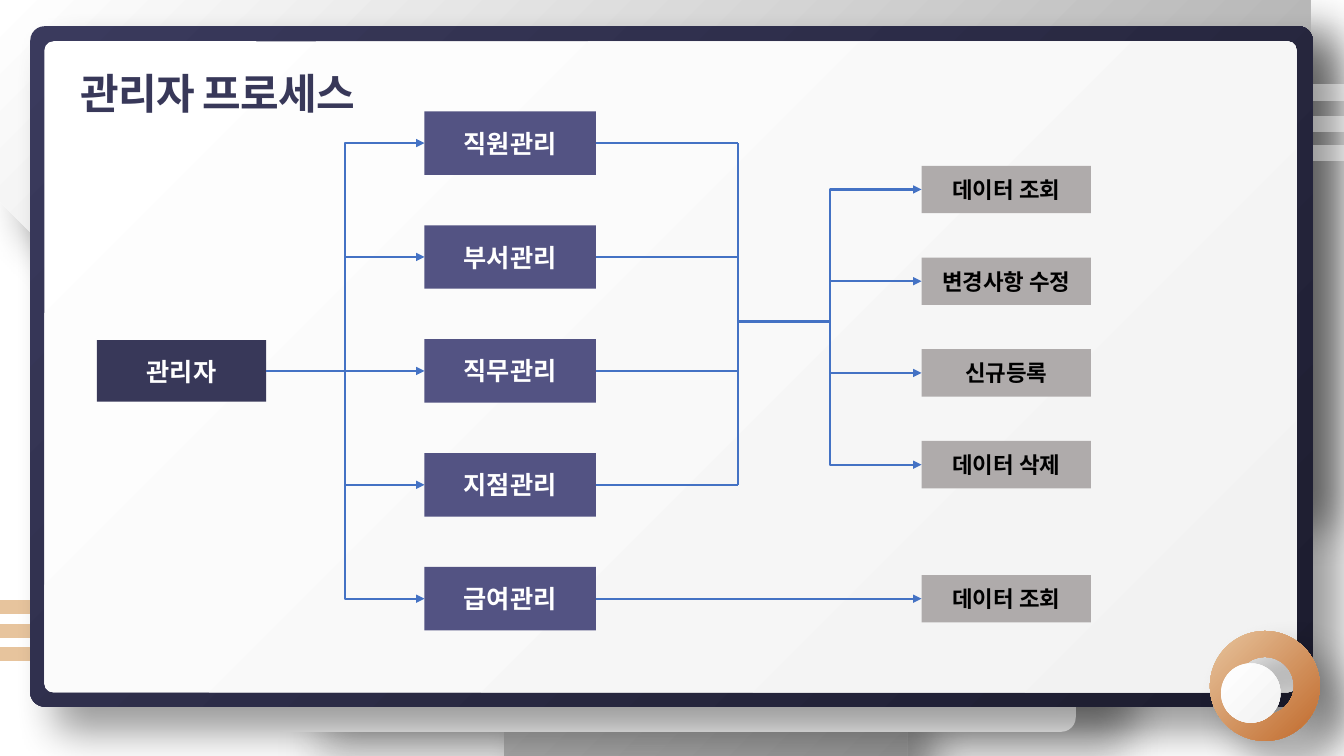
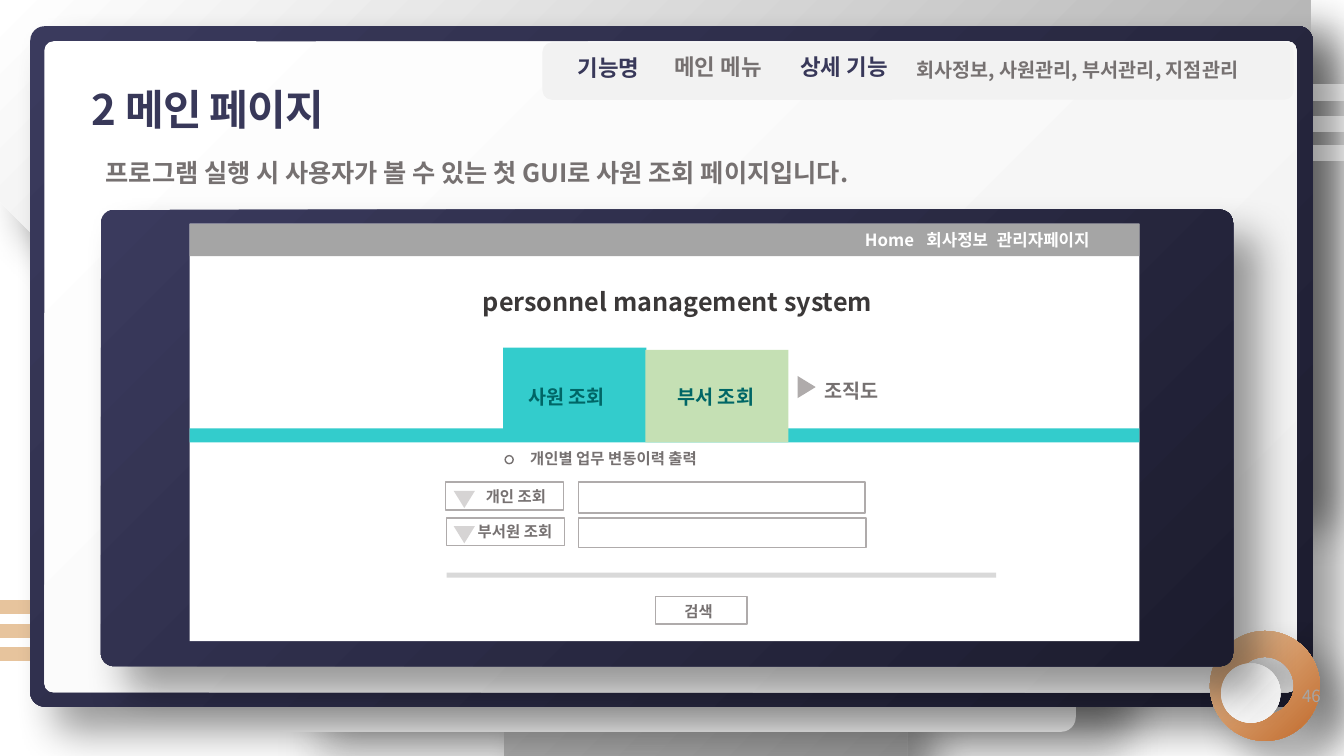
"""Build the manager process slide and the main page mock-up slide."""
from copy import deepcopy
from dataclasses import dataclass

from lxml import etree
from pptx import Presentation
from pptx import util as u
from pptx.dml.color import RGBColor
from pptx.enum import shapes, text
from pptx.oxml.ns import qn


@dataclass(frozen=True)
class Theme:
    font: str = "Noto Sans CJK KR"
    navy: str = "383859"
    violet: str = "535383"
    white: str = "FFFFFF"
    black: str = "000000"
    silver: str = "AFABAB"
    grey: str = "767171"
    charcoal: str = "3B3838"
    pale: str = "F2F2F2"
    rule: str = "D9D9D9"
    bar: str = "A5A5A5"
    sand: str = "E7C49D"
    blue: str = "4472C4"
    teal: str = "33CCCC"
    deep_teal: str = "006666"
    green: str = "C5E0B4"
    navy_fade: tuple = ("3A3A5D", "1C1C2E")
    white_fade: tuple = ("FFFFFF", "F2F2F2")
    grey_fade: tuple = ("FFFFFF", "8C8C8C")
    copper_fade: tuple = ("E7C49D", "C16A2C")
    deep_shadow: tuple = (40, 26)
    soft_shadow: tuple = (12, 46)
    title: int = 30
    large: int = 18
    medium: int = 16
    body: int = 14
    small: int = 12
    tiny: int = 11


theme = Theme()
KIND = shapes.MSO_SHAPE
CENTER, LEFT = text.PP_ALIGN.CENTER, text.PP_ALIGN.LEFT


def style(shape, fill=None, line=None, shadow=None, label=None, size=None, color=None,
          align=LEFT, tabs=()):
    """Apply fill, line, shadow and text to a shape and return it."""
    shape.shadow.inherit = False
    if isinstance(fill, tuple):
        shape.fill.gradient()
        shape.fill.gradient_angle = 315
        for stop, tone in zip(shape.fill.gradient_stops, fill):
            stop.color.rgb = RGBColor.from_string(tone)
    elif fill:
        shape.fill.solid()
        shape.fill.fore_color.rgb = RGBColor.from_string(fill)
    else:
        shape.fill.background()
    if line:
        shape.line.color.rgb = RGBColor.from_string(line)
        shape.line.width = u.Pt(1)
    else:
        shape.line.fill.background()
    if shadow:
        alpha, distance = shadow
        outer = etree.SubElement(
            shape.element.spPr.find(qn("a:effectLst")), qn("a:outerShdw"),
            blurRad=str(u.Pt(30)), dist=str(u.Pt(distance)), dir="2700000",
            algn="tl", rotWithShape="0")
        tone = etree.SubElement(outer, qn("a:srgbClr"), val=theme.black)
        etree.SubElement(tone, qn("a:alpha"), val=str(alpha * 1000))
    if label:
        shape.text_frame.word_wrap = True
        shape.text_frame.text = label
        paragraph = shape.text_frame.paragraphs[0]
        paragraph.alignment = align
        if tabs:
            stops = etree.SubElement(paragraph._p.get_or_add_pPr(), qn("a:tabLst"))
            for tab in tabs:
                etree.SubElement(stops, qn("a:tab"), pos=str(u.Inches(tab)), algn="l")
        font = paragraph.font
        font.name, font.size, font.bold = theme.font, u.Pt(size), True
        font.color.rgb = RGBColor.from_string(color)
        etree.SubElement(paragraph._p.pPr.find(qn("a:defRPr")), qn("a:ea"), typeface=theme.font)
    return shape


def link(slide, start, end, color=theme.blue, width=1.5, arrow=False, elbow=False):
    """Draw a connector between two points given in inches."""
    kind = shapes.MSO_CONNECTOR.ELBOW if elbow else shapes.MSO_CONNECTOR.STRAIGHT
    connector = slide.shapes.add_connector(kind, *map(u.Inches, (*start, *end)))
    connector.line.color.rgb = RGBColor.from_string(color)
    connector.line.width = u.Pt(width)
    if arrow:
        etree.SubElement(connector.line._get_or_add_ln(), qn("a:tailEnd"), type="triangle")
    etree.SubElement(connector.element.spPr, qn("a:effectLst"))
    return connector


presentation = Presentation()
presentation.slide_width, presentation.slide_height = u.Inches(13.33), u.Inches(7.5)
presentation.element.set("firstSlideNum", "45")
layout = presentation.slide_layouts[5]
process, main_page = (presentation.slides.add_slide(layout) for _ in range(2))

for placeholder in list(layout.placeholders):
    if placeholder.placeholder_format.type == shapes.PP_PLACEHOLDER.SLIDE_NUMBER:
        main_page.shapes.element.append(deepcopy(placeholder.element))
    elif placeholder.placeholder_format.type != shapes.PP_PLACEHOLDER.TITLE:
        layout.shapes.element.remove(placeholder.element)

number = main_page.shapes[-1]
number.left, number.top, number.width, number.height = map(u.Inches, (12.2, 6.7, 1, 0.4))
number_font = number.text_frame.paragraphs[0].font
number_font.name, number_font.size = theme.font, u.Pt(theme.small)
number_font.color.rgb = RGBColor.from_string(theme.bar)

for slide, label, left, top in ((process, "관리자 프로세스", 0.8, 0.55),
                                (main_page, "2 메인 페이지", 0.91, 0.71)):
    title = slide.shapes.title
    title.left, title.top, title.width, title.height = map(u.Inches, (left, top, 4.26, 0.64))
    style(title, label=label, size=theme.title, color=theme.navy)
    frame = title.text_frame
    frame.margin_left = frame.margin_right = frame.margin_top = frame.margin_bottom = 0
    frame.vertical_anchor = text.MSO_ANCHOR.MIDDLE
    frame.auto_size = text.MSO_AUTO_SIZE.NONE
    frame.paragraphs[0].line_spacing = 1.2
    frame.paragraphs[0]._p.pPr.find(qn("a:defRPr")).set("spc", "-60")

own_count = len(main_page.shapes)
for y in (6.02, 6.26, 6.49):
    link(main_page, (0, y), (1.86, y), theme.sand, 10.25)

arcs = (((13.24, 3.85), (12.38, 5.64), (10.77, 6.98), (8.82, 7.49)),
        ((5.42, 7.49), (2.49, 6.73), (0.33, 4.07), (0.33, 0.91)))
outline = [(13.33, 0), (13.33, 3.65)]
for arc in arcs:
    for step in range(33):
        t = step / 32
        weights = ((1 - t) ** 3, 3 * t * (1 - t) ** 2, 3 * t * t * (1 - t), t ** 3)
        outline.append(tuple(sum(w * point[axis] for w, point in zip(weights, arc))
                             for axis in (0, 1)))
    if arc is arcs[0]:
        outline += [(8.76, 7.5), (5.48, 7.5)]
outline.append((0.36, 0.22))
builder = main_page.shapes.build_freeform(0.39, 0, scale=u.Inches(1))
builder.add_line_segments(outline, close=True)
style(builder.convert_to_shape(), theme.grey_fade, shadow=theme.deep_shadow)

for y in (0.92, 1.23, 1.52):
    link(main_page, (11.44, y), (13.33, y), theme.white, 11.75)

for kind, at, adjustment, fill, shadow in (
        (KIND.ROUNDED_RECTANGLE, (2.67, 6.67, 8, 0.59), 0.245, theme.white, theme.soft_shadow),
        (KIND.ROUNDED_RECTANGLE, (0.3, 0.26, 12.72, 6.75), 0.021, theme.navy_fade,
         theme.deep_shadow),
        (KIND.ROUNDED_RECTANGLE, (0.44, 0.41, 12.42, 6.46), 0.014, theme.white_fade, None),
        (KIND.DONUT, (12, 6.26, 1.09, 1.09), 0.236, theme.copper_fade, theme.deep_shadow),
        (KIND.OVAL, (12.11, 6.58, 0.59, 0.59), None, theme.white_fade, None)):
    shape = style(main_page.shapes.add_shape(kind, *map(u.Inches, at)), fill, shadow=shadow)
    if adjustment:
        shape.adjustments[0] = adjustment

for index, shape in enumerate(list(main_page.shapes)[own_count:]):
    layout.shapes.element.insert(2 + index, shape.element)

row_centers = [1.42 + 1.13 * row for row in range(5)]
action_centers = [1.88 + 0.91 * row for row in range(4)] + [row_centers[-1]]
middle = row_centers[2]
bus_x, bus_exit = 7.32, 3.19
boxes = [("관리자", 0.96, middle, 1.68, 0.61, theme.navy, theme.large, theme.white)]
for label, y in zip(("직원관리", "부서관리", "직무관리", "지점관리", "급여관리"), row_centers):
    boxes.append((label, 4.21, y, 1.7, 0.63, theme.violet, theme.large, theme.white))
for label, y in zip(("데이터 조회", "변경사항 수정", "신규등록", "데이터 삭제", "데이터 조회"),
                    action_centers):
    boxes.append((label, 9.14, y, 1.68, 0.47, theme.silver, theme.medium, theme.black))
for label, left, center, width, height, fill, size, color in boxes:
    at = map(u.Inches, (left, center - height / 2, width, height))
    style(process.shapes.add_shape(KIND.RECTANGLE, *at), fill, label=label, size=size,
          color=color, align=CENTER)

for y in row_centers:
    link(process, (2.64, middle), (4.21, y), arrow=True, elbow=y != middle)
for y in row_centers[:-1]:
    link(process, (5.91, y), (bus_x, y))
link(process, (bus_x, row_centers[0]), (bus_x, row_centers[3]))
for y in action_centers[:-1]:
    link(process, (bus_x, bus_exit), (9.14, y), arrow=True, elbow=True)
link(process, (5.91, row_centers[-1]), (9.14, row_centers[-1]), arrow=True)

style(main_page.shapes.add_shape(KIND.ROUNDED_RECTANGLE, *map(u.Inches, (5.38, 0.42, 7.45, 0.57))),
      theme.pale)
screen_frame = main_page.shapes.add_shape(KIND.ROUNDED_RECTANGLE,
                                          *map(u.Inches, (1, 2.08, 11.23, 4.53)))
style(screen_frame, theme.navy_fade, shadow=theme.deep_shadow).adjustments[0] = 0.029

for at, fill, line in (
        ((1.88, 2.22, 9.42, 4.14), theme.white, None),
        ((1.88, 2.22, 9.42, 0.32), theme.bar, None),
        ((1.88, 4.25, 9.42, 0.14), theme.teal, None),
        ((4.99, 3.45, 1.42, 0.9), theme.teal, None),
        ((6.4, 3.47, 1.42, 0.92), theme.green, None),
        ((4.42, 4.78, 1.17, 0.28), None, theme.silver),
        ((4.43, 5.14, 1.17, 0.27), None, theme.silver),
        ((5.74, 4.78, 2.84, 0.31), None, theme.silver),
        ((5.74, 5.14, 2.85, 0.29), None, theme.silver),
        ((4.43, 5.68, 5.45, 0.05), theme.rule, None),
        ((6.5, 5.92, 0.91, 0.27), None, theme.silver)):
    style(main_page.shapes.add_shape(KIND.RECTANGLE, *map(u.Inches, at)), fill, line)

for at, rotation, opacity in (((7.89, 3.75, 0.22, 0.18), 90, 100),
                              ((4.5, 4.87, 0.21, 0.17), 180, 50),
                              ((4.5, 5.22, 0.21, 0.17), 180, 50)):
    triangle = main_page.shapes.add_shape(KIND.ISOSCELES_TRIANGLE, *map(u.Inches, at))
    style(triangle, theme.silver).rotation = rotation
    tone = triangle.element.spPr.find(qn("a:solidFill")).find(qn("a:srgbClr"))
    etree.SubElement(tone, qn("a:alpha"), val=str(opacity * 1000))
style(main_page.shapes.add_shape(KIND.OVAL, *map(u.Inches, (5.01, 4.52, 0.08, 0.08))),
      theme.white, theme.grey)

for label, at, size, color, tabs in (
        ("프로그램 실행 시 사용자가 볼 수 있는 첫 GUI로 사원 조회 페이지입니다.",
         (0.95, 1.51, 11.19, 0.4), theme.large, theme.grey, ()),
        ("기능명", (5.63, 0.49, 1.08, 0.37), theme.medium, theme.navy, ()),
        ("메인 메뉴", (6.59, 0.48, 1.55, 0.37), theme.medium, theme.grey, ()),
        ("상세 기능", (7.84, 0.48, 1.29, 0.37), theme.medium, theme.navy, ()),
        ("회사정보, 사원관리, 부서관리, 지점관리",
         (8.99, 0.53, 3.8, 0.34), theme.body, theme.grey, ()),
        ("Home\t회사정보\t관리자페이지",
         (8.48, 2.23, 2.69, 0.3), theme.small, theme.white, (0.61, 1.31)),
        ("personnel management system",
         (4.69, 2.79, 4.29, 0.4), theme.large, theme.charcoal, ()),
        ("사원 조회", (5.14, 3.77, 1.2, 0.34), theme.body, theme.deep_teal, ()),
        ("부서 조회", (6.62, 3.77, 1.2, 0.34), theme.body, theme.deep_teal, ()),
        ("조직도", (8.08, 3.71, 0.86, 0.34), theme.body, theme.grey, ()),
        ("개인별 업무 변동이력 출력", (5.16, 4.41, 2.2, 0.29), theme.tiny, theme.grey, ()),
        ("개인 조회", (4.72, 4.78, 0.93, 0.29), theme.tiny, theme.grey, ()),
        ("부서원 조회", (4.64, 5.13, 1.1, 0.29), theme.tiny, theme.grey, ()),
        ("검색", (6.69, 5.92, 0.54, 0.29), theme.tiny, theme.grey, ())):
    style(main_page.shapes.add_textbox(*map(u.Inches, at)), label=label, size=size,
          color=color, tabs=tabs)

presentation.save("out.pptx")
